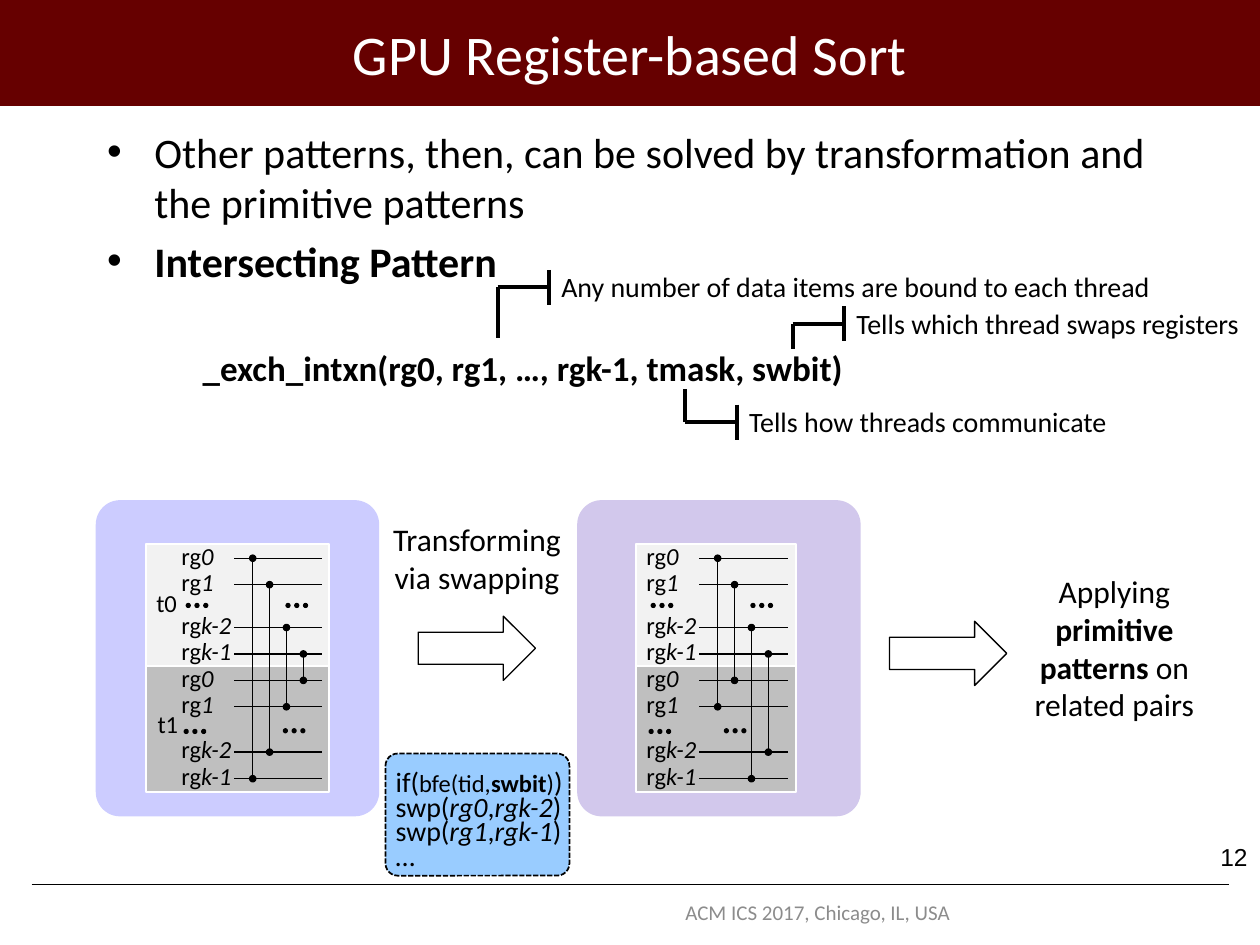
from lxml import etree
from pptx import Presentation
from pptx.dml.color import RGBColor
from pptx.enum.dml import MSO_LINE
from pptx.enum.shapes import MSO_CONNECTOR, MSO_SHAPE
from pptx.enum.text import MSO_ANCHOR, PP_ALIGN
from pptx.oxml.ns import qn
from pptx.util import Pt

RECT, ROUND = MSO_SHAPE.RECTANGLE, MSO_SHAPE.ROUNDED_RECTANGLE
OVAL, ARROW = MSO_SHAPE.OVAL, MSO_SHAPE.RIGHT_ARROW
LEFT, MID, RIGHT = PP_ALIGN.LEFT, PP_ALIGN.CENTER, PP_ALIGN.RIGHT
TOP, CENTER = MSO_ANCHOR.TOP, MSO_ANCHOR.MIDDLE
STRAIGHT, DASH = MSO_CONNECTOR.STRAIGHT, MSO_LINE.SQUARE_DOT
BLACK, WHITE, GREY = "000000", "FFFFFF", "8C8C8C"

TITLE = "GPU Register-based Sort"
POINTS = [
    ("Other patterns, then, can be solved by transformation and the primitive patterns", False),
    ("Intersecting Pattern", True),
]
CALL = "_exch_intxn(rg0, rg1, …, rgk-1, tmask, swbit)"
NOTES = [
    ("Any number of data items are bound to each thread", 284.4, 164.2, 193, 355),
    ("Tells how threads communicate", 391.7, 241.2, 222.5, 221),
    ("Tells which thread swaps registers", 452.9, 185, 199.4, 236.2),
]
CODE = [
    [("if(", ""), ("bfe(tid,", "", 14), ("swbit", "b", 14), (")", "", 14), (")", "")],
    [("swp(", ""), ("rg0", "i"), (",", ""), ("rgk-2", "i"), (")", "")],
    [("swp(", ""), ("rg1", "i"), (",", ""), ("rgk-1", "i"), (")", "")],
    [("…", "")],
]
GOAL = [("Applying ", ""), ("primitive patterns ", "b"), ("on related pairs", "")]
NAMES = ["0", "1", "k-2", "k-1"] * 2
ROWS = [319, 334.1, 358.6, 373.7, 388.8, 403.9, 429.8, 445]
PANELS = [
    dict(left=54.7, fill="CCCCFF", box=83.5, wide=104.4, wire=133.9, gap=28.1,
         pairs=[(0, 7), (1, 6), (2, 5), (3, 4)]),
    dict(left=329.8, fill="D2C8EC", box=363.6, wide=91.4, wire=399.6, gap=14.4,
         pairs=[(0, 5), (1, 4), (2, 7), (3, 6)]),
]
ARROWS = [(239, 352.1), (508.3, 355)]

deck = Presentation()
deck.slide_width, deck.slide_height = Pt(720), Pt(540)
slide = deck.slides.add_slide(deck.slide_layouts[1])
shapes = slide.shapes


def tint(code):
    return RGBColor.from_string(code)


def pts(*nums):
    return [Pt(round(n, 2)) for n in nums]


def style(run, size, code=BLACK, face="Calibri", bold=False, slant=False):
    font = run.font
    font.name, font.size = face, Pt(size)
    font.bold, font.italic = bold, slant
    font.color.rgb = tint(code)


def block(kind, x, y, w, h, fill, edge=None, width=0.75, curve=None):
    shape = shapes.add_shape(kind, *pts(x, y, w, h))
    shape.shadow.inherit = False
    shape.fill.solid()
    shape.fill.fore_color.rgb = tint(fill)
    if edge:
        shape.line.color.rgb = tint(edge)
        shape.line.width = Pt(width)
    else:
        shape.line.fill.background()
    if curve:
        shape.adjustments[0] = curve
    return shape


def line(x1, y1, x2, y2, width=0.75):
    wire = shapes.add_connector(STRAIGHT, *pts(x1, y1, x2, y2))
    wire.line.color.rgb = tint(BLACK)
    wire.line.width = Pt(width)
    etree.SubElement(wire.element.spPr, qn("a:effectLst"))


def text(paras, x, y, w, h, size, align=LEFT, wrap=True, tight=False,
         lead=None, anchor=TOP, code=BLACK, face="Calibri"):
    frame = shapes.add_textbox(*pts(x, y, w, h)).text_frame
    frame.word_wrap, frame.vertical_anchor = wrap, anchor
    if tight:
        frame.margin_left = frame.margin_right = 0
        frame.margin_top = frame.margin_bottom = 0
    for n, parts in enumerate(paras):
        para = frame.add_paragraph() if n else frame.paragraphs[0]
        para.alignment = align
        if lead:
            para.line_spacing = Pt(lead)
        for word, look, *own in parts:
            run = para.add_run()
            run.text = word
            style(run, own[0] if own else size, code, face, "b" in look, "i" in look)


def dots(x, y):
    for n in range(3):
        block(OVAL, x + 5 * n, y, 2.2, 2.2, BLACK, BLACK)


def panel(left, fill, box, wide, wire, gap, pairs):
    block(ROUND, left, 285.8, 162, 180.7, fill, curve=0.086)
    block(RECT, box, 380.5, wide, 72, "BFBFBF", WHITE, 1)
    block(RECT, box, 311, wide, 69.5, "F2F2F2", WHITE, 1)
    for name, y in zip(NAMES, ROWS):
        line(wire, y, wire + 50.4, y)
        text([[("rg", ""), (name, "i")]], wire - 30.2, y - 10.1, 33.8, 17.3, 14, tight=True)
    for n, pair in enumerate(pairs):
        x = wire + 10.5 + 9.65 * n
        line(x, ROWS[pair[0]], x, ROWS[pair[1]])
        for row in pair:
            block(OVAL, x - 1.8, ROWS[row] - 1.8, 3.6, 3.6, BLACK, BLACK)
    for x, y in [(-27.4, 344.9), (29.6, 344.9), (-28.6, 416.9), (gap, 416.5)]:
        dots(wire + x, y)


def note(words, x, y, stem, wide):
    end = x + 29.3
    line(x, y, x, stem, 2.25)
    line(x, y, end, y, 2.25)
    line(end, y - 10, end, y + 10, 2.25)
    text([[(words, "")]], end, y - 13.5, wide, 26.6, 16, wrap=False)


title, body = shapes.title, slide.placeholders[1]
title.left, title.top, title.width, title.height = pts(54, 0.7, 612, 59.8)
title.text_frame.text = TITLE
title.text_frame.vertical_anchor = CENTER
style(title.text_frame.paragraphs[0].runs[0], 32, WHITE)

body.left, body.top, body.width, body.height = pts(54, 68.4, 612, 428.4)
body.text_frame.text = "\n".join(words for words, bold in POINTS)
for para, (words, bold) in zip(body.text_frame.paragraphs, POINTS):
    style(para.runs[0], 24, bold=bold)

band = block(RECT, 0, 0, 720, 60.5, "660000")
title.element.addprevious(band.element)
line(18, 505.4, 702, 505.4, 0.25)
text([[("12", "")]], 684, 477.4, 36, 36, 14, RIGHT, face="Arial")
text([[("ACM ICS 2017, Chicago, IL, USA", "")]], 345.6, 510.5, 243.4, 20.9, 12, MID,
     anchor=CENTER, code=GREY)

text([[(CALL, "b")]], 108.7, 194.4, 388.8, 31.7, 20, wrap=False)
for item in NOTES:
    note(*item)
for item in PANELS:
    panel(**item)
for name, x, y in [("t0", 89.3, 336.2), ("t1", 90, 405.4)]:
    text([[(name, "")]], x, y, 20.2, 17.3, 14, tight=True)
for x, y in ARROWS:
    block(ARROW, x, y, 67, 36.7, WHITE, BLACK)

card = block(ROUND, 220.3, 430.6, 105.1, 69.8, "99CCFF", BLACK, 1, 0.1)
card.line.dash_style = DASH
text(CODE, 226.1, 442.1, 98.6, 56.9, 16, tight=True, lead=14)
text([[("Transforming via swapping", "")]], 209.5, 293.8, 126, 51.1, 18, MID)
text([GOAL], 573.8, 323.3, 126, 116.6, 18, MID)

deck.save("out.pptx")
